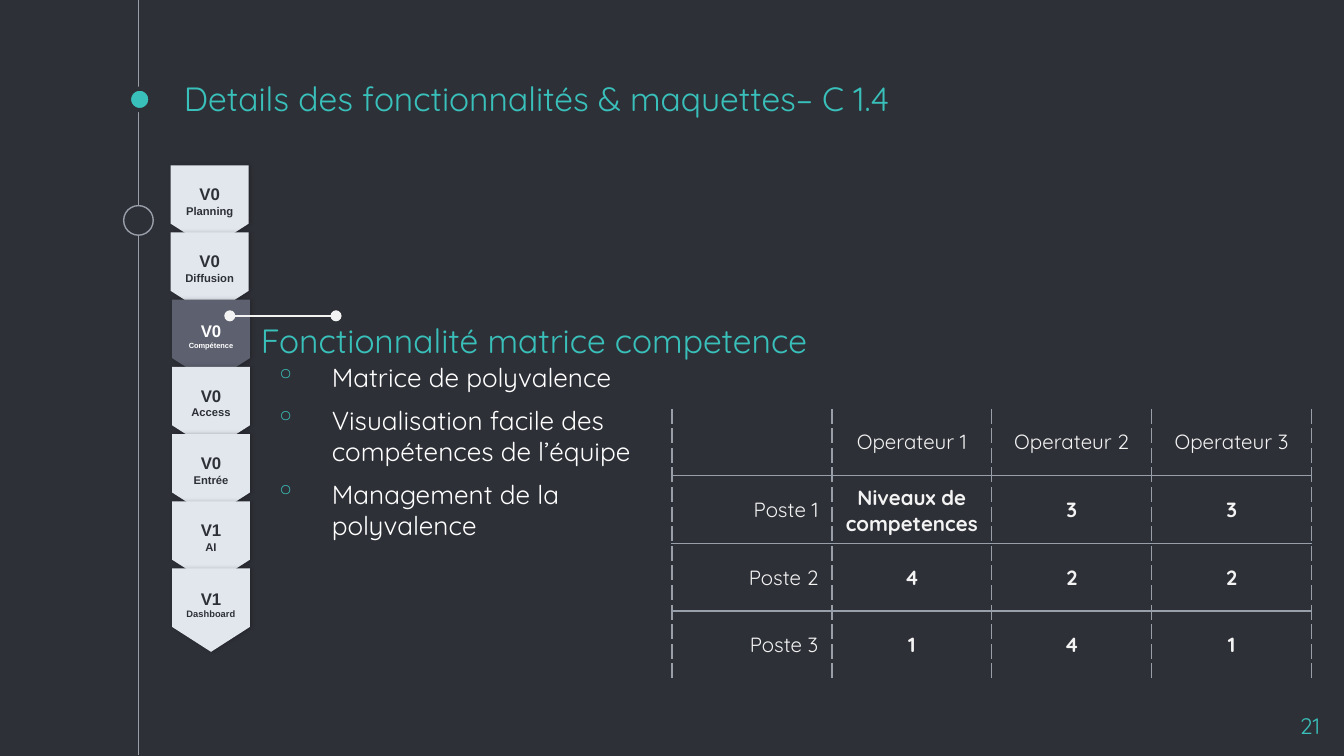
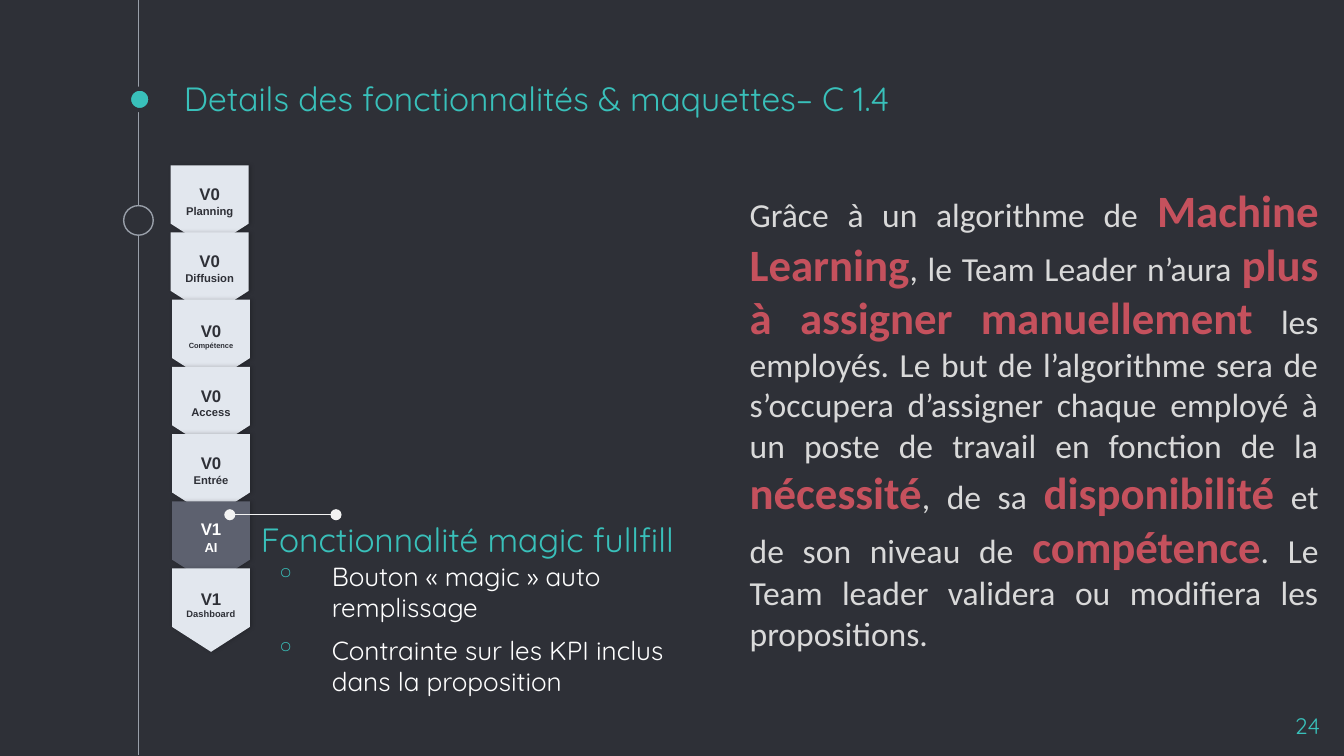
from lxml import etree
from pptx import Presentation
from pptx.dml.color import RGBColor
from pptx.enum.shapes import MSO_CONNECTOR, MSO_SHAPE
from pptx.enum.text import MSO_ANCHOR, MSO_AUTO_SIZE, PP_ALIGN
from pptx.oxml.ns import qn
from pptx.util import Pt

PX = 9144  # 100 px to the inch

STRAIGHT = MSO_CONNECTOR.STRAIGHT
OVAL, PENTAGON = MSO_SHAPE.OVAL, MSO_SHAPE.PENTAGON
TOP, MIDDLE, BOTTOM = MSO_ANCHOR.TOP, MSO_ANCHOR.MIDDLE, MSO_ANCHOR.BOTTOM
LEFT, CENTER, RIGHT = PP_ALIGN.LEFT, PP_ALIGN.CENTER, PP_ALIGN.RIGHT
JUSTIFY = PP_ALIGN.JUSTIFY
GROW = MSO_AUTO_SIZE.SHAPE_TO_FIT_TEXT

DARK = RGBColor(0x2E, 0x30, 0x37)
TEAL = RGBColor(0x39, 0xC0, 0xBA)
GREY = RGBColor(0x99, 0x9F, 0xA9)
PALE = RGBColor(0xE2, 0xE7, 0xEE)
SLATE = RGBColor(0x5D, 0x61, 0x6F)
WHITE = RGBColor(0xFF, 0xFF, 0xFF)
OFF_WHITE = RGBColor(0xF3, 0xF3, 0xF3)
SILVER = RGBColor(0xD9, 0xD9, 0xD9)
RED = RGBColor(0xC5, 0x51, 0x5D)
BLACK = RGBColor(0, 0, 0)

TITLE_FONT, STEP_FONT, PROSE_FONT = "Quicksand", "Arial", "Calibri"

TITLE = "Details des fonctionnalités & maquettes– C 1.4"

# version, label, label size, left
STEPS = [
    ("V0", "Planning", 6, 125),
    ("V0", "Diffusion", 6, 125),
    ("V0", "Compétence", 4, 126),
    ("V0", "Access", 6, 126),
    ("V0", "Entrée", 6, 126),
    ("V1", "AI", 6, 126),
    ("V1", "Dashboard", 5, 126),
]

SKILLS = [
    ["", "Operateur 1", "Operateur 2", "Operateur 3"],
    ["Poste 1", "Niveaux de competences", "3", "3"],
    ["Poste 2", "4", "2", "2"],
    ["Poste 3", "1", "4", "1"],
]

# text, highlighted
PROSE = [
    ("Grâce à un algorithme de ", False),
    ("Machine Learning", True),
    (", le Team Leader n’aura ", False),
    ("plus à assigner manuellement ", True),
    ("les employés. Le but de l’algorithme sera de s’occupera d’assigner "
     "chaque employé à un poste de travail en fonction de la ", False),
    ("nécessité", True),
    (", de sa ", False),
    ("disponibilité", True),
    (" et de son niveau de ", False),
    ("compétence", True),
    (". Le Team leader validera ou modifiera les propositions.", False),
]

PAGES = [
    {"number": "21", "active": 2, "active_size": 4, "callout": 235,
     "heading": "Fonctionnalité matrice competence",
     "bullets": ["Matrice de polyvalence",
                 "Visualisation facile des compétences de l’équipe",
                 "Management de la polyvalence"]},
    {"number": "24", "active": 5, "active_size": 7, "callout": 383,
     "heading": "Fonctionnalité magic fullfill",
     "bullets": ["Bouton « magic » auto remplissage",
                 "Contrainte sur les KPI inclus dans la proposition"]},
]


def add_text_box(page, left, top, width, height, margin=10, anchor=TOP):
    box = page.shapes.add_textbox(left * PX, top * PX, width * PX, height * PX)
    frame = box.text_frame
    frame.word_wrap = True
    frame.vertical_anchor = anchor
    frame.margin_left = frame.margin_right = margin * PX
    frame.margin_top = frame.margin_bottom = margin * PX
    return frame


def add_run(para, text, size, color, font=TITLE_FONT, bold=False, align=LEFT):
    para.alignment = align
    span = para.add_run()
    span.text = text
    span.font.name = font
    span.font.size = Pt(size)
    span.font.bold = bold
    span.font.color.rgb = color


deck = Presentation()
deck.slide_width = 1000 * PX
deck.slide_height = deck.slide_width * 9 // 16
pages = []

for content in PAGES:
    page = deck.slides.add_slide(deck.slide_layouts[6])
    pages.append(page)
    page.background.fill.solid()
    page.background.fill.fore_color.rgb = DARK
    callout = content["callout"]

    # Timeline rail and callout line
    for x1, y1, x2, y2, color, ends in [
        (103, 0, 103, 562, GREY, None),
        (250, callout, 171, callout, OFF_WHITE, "oval"),
    ]:
        line = page.shapes.add_connector(STRAIGHT, x1 * PX, y1 * PX, x2 * PX, y2 * PX)
        line.line.color.rgb = color
        line.line.width = Pt(0.75)
        properties = line.element.spPr
        if ends:
            for tag in ("a:headEnd", "a:tailEnd"):
                etree.SubElement(properties.find(qn("a:ln")), qn(tag), type=ends)
            callout_line = line
        etree.SubElement(properties, qn("a:effectLst"))

    # Rail markers
    for left, top, side, fill, color, weight in [
        (96, 66, 16, TEAL, DARK, 2.25),
        (92, 153, 22, DARK, GREY, 0.75),
    ]:
        marker = page.shapes.add_shape(OVAL, left * PX, top * PX, side * PX, side * PX)
        marker.shadow.inherit = False
        marker.fill.solid()
        marker.fill.fore_color.rgb = fill
        marker.line.color.rgb = color
        marker.line.width = Pt(weight)

    # Title
    frame = add_text_box(page, 127, 60, 750, 38, anchor=BOTTOM)
    add_run(frame.paragraphs[0], TITLE, 18, TEAL)

    # Version steps
    for index, (version, label, size, left) in enumerate(STEPS):
        active = index == content["active"]
        step = page.shapes.add_shape(PENTAGON, left * PX, (125 + 50 * index) * PX,
                                     62 * PX, 58 * PX)
        step.rotation = 90
        step.adjustments[0] = 0.32
        step.fill.solid()
        step.fill.fore_color.rgb = SLATE if active else PALE
        step.line.fill.background()
        step.shadow.inherit = False
        effects = step.element.spPr.find(qn("a:effectLst"))
        shadow = etree.SubElement(effects, qn("a:outerShdw"), blurRad=str(Pt(2.2)),
                                  dist=str(Pt(0.8)), dir="0", rotWithShape="0")
        shade = etree.SubElement(shadow, qn("a:srgbClr"), val=str(BLACK))
        etree.SubElement(shade, qn("a:alpha"), val="20000")
        frame = step.text_frame
        frame.word_wrap = True
        frame.vertical_anchor = MIDDLE
        frame.margin_left = frame.margin_right = 10 * PX
        frame.margin_top = frame.margin_bottom = 10 * PX
        step.element.txBody.find(qn("a:bodyPr")).set("vert", "vert270")
        color = WHITE if active else DARK
        label_size = content["active_size"] if active else size
        add_run(frame.paragraphs[0], version, 9, color, STEP_FONT, True, CENTER)
        add_run(frame.add_paragraph(), label, label_size, color, STEP_FONT, True, CENTER)

    # Callout line goes over the steps
    page.shapes.element.append(callout_line.element)

    # Feature heading
    frame = add_text_box(page, 194, callout + 4, 465, 29, margin=0, anchor=BOTTOM)
    add_run(frame.paragraphs[0], content["heading"], 18, TEAL)

    # Feature bullets
    frame = add_text_box(page, 187, callout + 24, 342, 173)
    for index, text in enumerate(content["bullets"]):
        para = frame.add_paragraph() if index else frame.paragraphs[0]
        settings = para._p.get_or_add_pPr()
        settings.set("marL", str(50 * PX))
        settings.set("indent", str(-42 * PX))
        tint = etree.SubElement(settings, qn("a:buClr"))
        etree.SubElement(tint, qn("a:srgbClr"), val=str(TEAL))
        etree.SubElement(settings, qn("a:buChar"), char="◦")
        if index:
            para.space_before = Pt(6)
        add_run(para, text, 14, WHITE)

    # Page number
    frame = add_text_box(page, 932, 520, 60, 34)
    add_run(frame.paragraphs[0], content["number"], 12, TEAL, align=RIGHT)

skills_page, prose_page = pages

# Skills matrix
matrix = skills_page.shapes.add_table(4, 4, 500 * PX, 304 * PX, 476 * PX, 202 * PX)
table = matrix.table
table.first_row = table.horz_banding = False
for column in table.columns:
    column.width = 119 * PX
for r, row in enumerate(SKILLS):
    table.rows[r].height = 50 * PX
    for c, text in enumerate(row):
        cell = table.cell(r, c)
        cell.fill.background()
        cell.vertical_anchor = MIDDLE
        cell.margin_left = cell.margin_right = 10 * PX
        cell.margin_top = cell.margin_bottom = 7 * PX
        if text:
            add_run(cell.text_frame.paragraphs[0], text, 11, OFF_WHITE,
                    bold=r > 0 and c > 0, align=CENTER if c or not r else RIGHT)

        # Dashed sides, solid rules between rows, open top and bottom
        borders = [("a:lnL", "dash"), ("a:lnR", "dash"),
                   ("a:lnT", "solid" if r > 0 else None),
                   ("a:lnB", "solid" if r < 3 else None)]
        settings = cell._tc.get_or_add_tcPr()
        for place, (tag, dash) in enumerate(borders):
            border = etree.Element(qn(tag), w=str(Pt(0.75)))
            settings.insert(place, border)
            if dash:
                paint = etree.SubElement(border, qn("a:solidFill"))
                etree.SubElement(paint, qn("a:srgbClr"), val=str(GREY))
                etree.SubElement(border, qn("a:prstDash"), val=dash)
            else:
                etree.SubElement(border, qn("a:noFill"))

# Algorithm description
frame = add_text_box(prose_page, 548, 131, 443, 364)
frame.margin_top = frame.margin_bottom = 5 * PX
frame.auto_size = GROW
for text, strong in PROSE:
    add_run(frame.paragraphs[0], text, 24 if strong else 18, RED if strong else SILVER,
            PROSE_FONT, strong, JUSTIFY)

deck.save("out.pptx")
